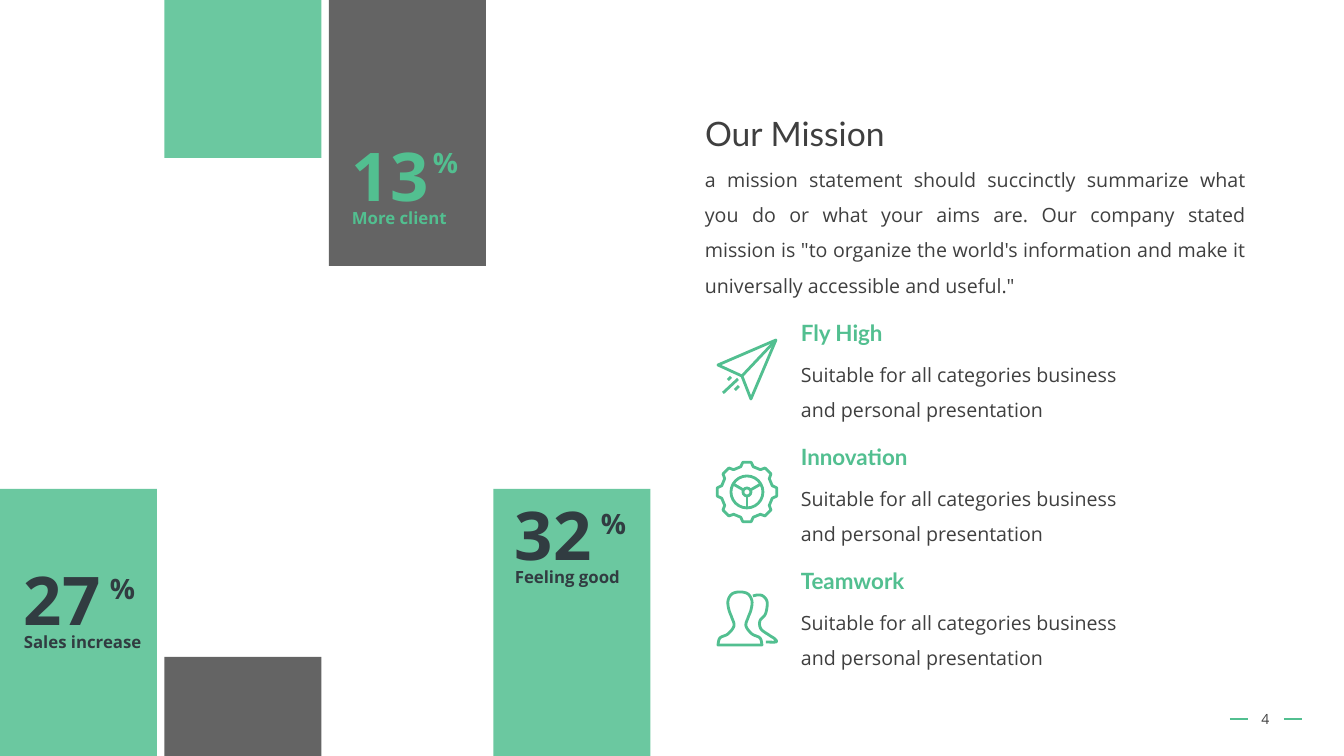
from math import cos, radians, sin
from lxml.etree import SubElement
from pptx import Presentation
from pptx.dml.color import RGBColor
from pptx.enum.shapes import MSO_CONNECTOR, MSO_SHAPE
from pptx.enum.text import MSO_ANCHOR, MSO_AUTO_SIZE, PP_ALIGN
from pptx.oxml.ns import qn
from pptx.util import Pt

GREEN = RGBColor(0x52, 0xBF, 0x90)
GRAY = RGBColor(0x49, 0x49, 0x49)
INK = RGBColor(0x31, 0x3C, 0x41)
BODY = RGBColor(0x3F, 0x3F, 0x3F)
PX = 914400 / 100.8

TITLE = "Our Mission"
MISSION = (
    "a mission statement should succinctly summarize what you do or what your aims are. "
    "Our company stated mission is \"to organize the world's information and make it "
    "universally accessible and useful.\""
)
BLOCKS = [
    (0, 489, 267, GREEN),
    (1, 657, 99, GRAY),
    (1, -1, 159, GREEN),
    (2, 0, 266, GRAY),
    (3, 489, 267, GREEN),
]
STATS = [
    ("27", "Sales increase", 14, 553, 86, 14, INK),
    ("13", "More client", 342, 129, 81, 12, GREEN),
    ("32", "Feeling good", 505, 488, 86, 14, INK),
]
VALUES = ["Fly High", "Innovation", "Teamwork"]
VALUE_TEXT = "Suitable for all categories business and personal presentation"
PAGE = "4"

PLANE_BODY = [(776, 340), (718, 365), (742, 376), (751, 399)]
PLANE_STROKES = [
    (776, 340, 742, 376),
    (723, 393, 738, 379),
    (728, 380, 731, 377),
    (735, 390, 739, 386),
]
GEAR_X, GEAR_Y = 747, 492
GEAR_TOOTH = [(-8, 30), (8, 30), (14, 26), (31, 26)]
FRONT_X = 740
FRONT_HALF = [(718, 645), (720, 638), (728, 634), (734, 626), (732, 618),
              (729, 610), (728, 601), (732, 594), (740, 592)]
BACK_PERSON = [(753, 596), (758, 595), (763, 596), (767, 601), (767, 608), (765, 615),
               (760, 621), (761, 629), (769, 635), (775, 639), (776, 642), (766, 642)]


def px(*lengths):
    return [round(v * PX) for v in lengths]


def write(tf, text, size=14, color=BODY, font="Open Sans", bold=False,
          align=PP_ALIGN.LEFT, spacing=1.0, anchor=MSO_ANCHOR.TOP):
    tf.word_wrap = True
    tf.auto_size = MSO_AUTO_SIZE.NONE
    tf.vertical_anchor = anchor
    p = tf.paragraphs[0]
    p.alignment = align
    p.line_spacing = spacing
    r = p.add_run()
    r.text = text
    r.font.size = Pt(size)
    r.font.name = font
    r.font.bold = bold
    r.font.color.rgb = color


def label(s, box, text, **fmt):
    write(s.shapes.add_textbox(*px(*box)).text_frame, text, **fmt)


def block(s, box, color):
    sp = s.shapes.add_shape(MSO_SHAPE.RECTANGLE, *px(*box))
    sp.shadow.inherit = False
    sp.fill.solid()
    sp.fill.fore_color.rgb = color
    clr = sp.fill._xPr.find(qn("a:solidFill"))[0]
    SubElement(clr, qn("a:alpha")).set("val", "85000")
    sp.line.fill.background()


def stroke(s, x1, y1, x2, y2, width=2.0):
    cn = s.shapes.add_connector(MSO_CONNECTOR.STRAIGHT, *px(x1, y1, x2, y2))
    cn.line.color.rgb = GREEN
    cn.line.width = Pt(width)
    SubElement(cn._element.spPr, qn("a:effectLst"))


def hollow(sp):
    sp.shadow.inherit = False
    sp.fill.background()
    sp.line.color.rgb = GREEN
    sp.line.width = Pt(2)
    SubElement(sp.line._get_or_add_ln(), qn("a:round"))


def outline(s, points, close=True):
    pts = [px(*pt) for pt in points]
    fb = s.shapes.build_freeform(*pts[0], scale=1.0)
    fb.add_line_segments(pts[1:], close=close)
    hollow(fb.convert_to_shape())


def ring(s, x, y, r):
    hollow(s.shapes.add_shape(MSO_SHAPE.OVAL, *px(x - r, y - r, 2 * r, 2 * r)))


def polar(x, y, angle, r):
    return x + r * cos(radians(angle)), y + r * sin(radians(angle))


def smooth(points, steps=6):
    ends = [points[0], *points, points[-1]]
    curve = []
    for a, b, c, d in zip(ends, ends[1:], ends[2:], ends[3:]):
        for t in (i / steps for i in range(steps)):
            curve.append(tuple(
                (2 * q + (u - o) * t + (2 * o - 5 * q + 4 * u - v) * t ** 2
                 + (3 * q - o - 3 * u + v) * t ** 3) / 2
                for o, q, u, v in zip(a, b, c, d)))
    return curve + [points[-1]]


def plane(s):
    outline(s, PLANE_BODY)
    for ends in PLANE_STROKES:
        stroke(s, *ends)


def gear(s):
    outline(s, [polar(GEAR_X, GEAR_Y, 45 * i + a, r) for i in range(8) for a, r in GEAR_TOOTH])
    for r in (16, 4):
        ring(s, GEAR_X, GEAR_Y, r)
    for angle in (90, 210, 330):
        stroke(s, *polar(GEAR_X, GEAR_Y, angle, 4), *polar(GEAR_X, GEAR_Y, angle, 16))


def people(s):
    mirrored = [(2 * FRONT_X - x, y) for x, y in FRONT_HALF[-2::-1]]
    outline(s, smooth(FRONT_HALF + mirrored))
    outline(s, smooth(BACK_PERSON), close=False)


def main():
    prs = Presentation()
    prs.slide_width, prs.slide_height = px(1344, 756)
    s = prs.slides.add_slide(prs.slide_layouts[5])

    for col, y, h, color in BLOCKS:
        block(s, (col * 164.5, y, 157, h), color)

    title = s.shapes.title
    title.left, title.top, title.width, title.height = px(695, 108, 436, 50)
    write(title.text_frame, TITLE, size=24, font="Lato")
    label(s, (695, 151, 561, 167), MISSION, align=PP_ALIGN.JUSTIFY, spacing=1.5)

    for number, caption, x, y, dx, dy, color in STATS:
        label(s, (x, y, 110, 92), number, size=48, color=color, bold=True)
        label(s, (x, y + 74, 145, 30), caption, size=12, color=color, bold=True)
        label(s, (x + dx, y + dy, 60, 44), "%", size=20, color=color, bold=True)

    for i, name in enumerate(VALUES):
        y = 314 + 124 * i
        label(s, (791, y, 150, 37), name, size=16, color=GREEN, font="Lato", bold=True)
        label(s, (791, y + 32, 352, 78), VALUE_TEXT, spacing=1.5)

    for icon in (plane, gear, people):
        icon(s)

    for x in (1230, 1284):
        stroke(s, x, 719, x + 18, 719, width=1.75)
    label(s, (1236, 699, 59, 40), PAGE, size=10, align=PP_ALIGN.CENTER, anchor=MSO_ANCHOR.MIDDLE)

    prs.save("out.pptx")


if __name__ == "__main__":
    main()
